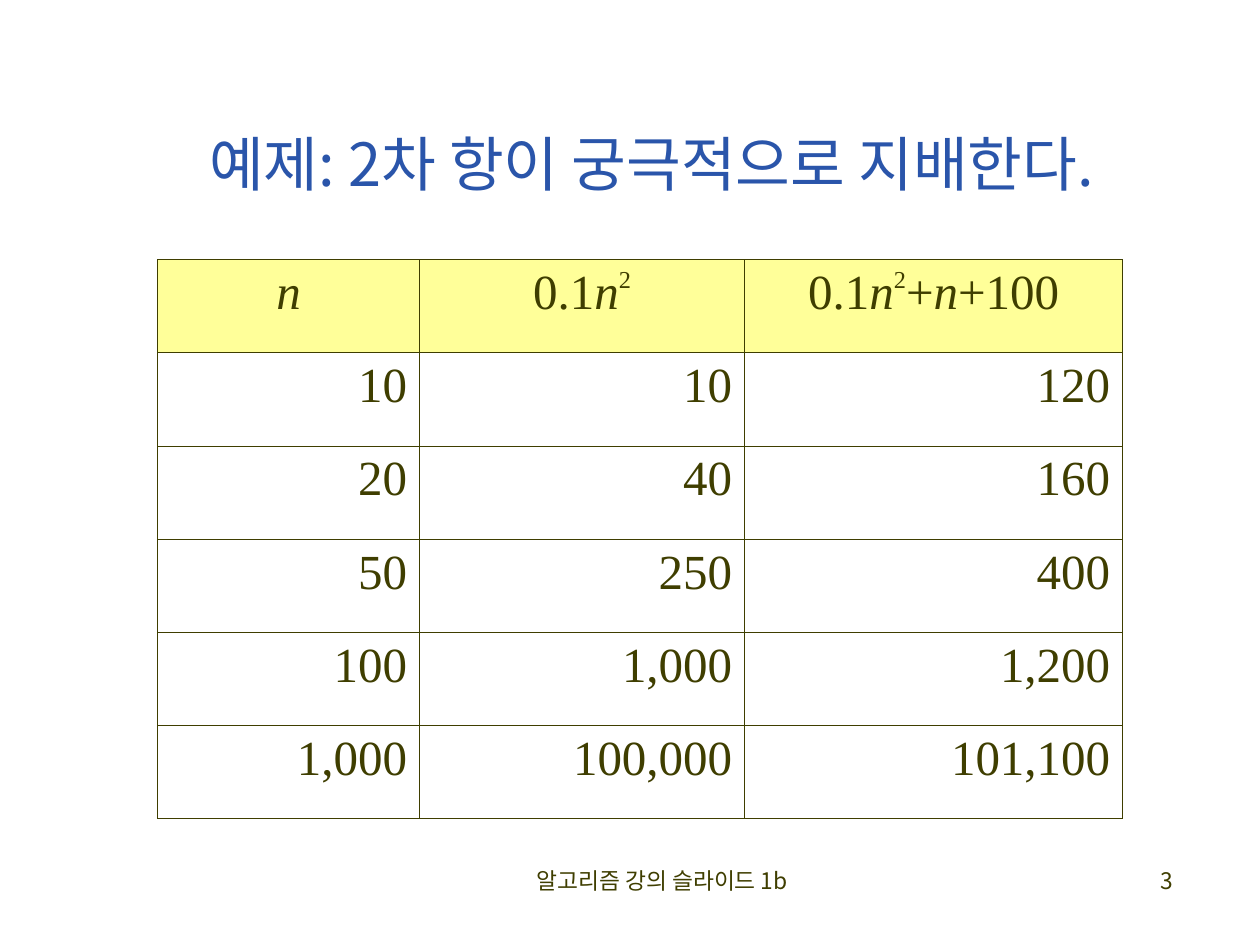
import pptx
import pptx.dml.color
import pptx.enum.text
import pptx.oxml
import pptx.oxml.ns
import pptx.util
from pptx.util import Inches

COLORS = {"text": "3F3E00", "title": "2A55AA", "header": "FFFF99"}
KOREAN, SERIF = "Noto Sans CJK KR", "Times New Roman"
ALIGN = pptx.enum.text.PP_ALIGN

COLUMN_WIDTHS = [2.08, 2.58, 3]
ROW_HEIGHT = 0.74
# Header cells as runs: "n" is italic, "2" is an exponent
HEADERS = [["n"], ["0.1", "n", "2"], ["0.1", "n", "2", "+", "n", "+100"]]
ROWS = [
    ["10", "10", "120"],
    ["20", "40", "160"],
    ["50", "250", "400"],
    ["100", "1,000", "1,200"],
    ["1,000", "100,000", "101,100"],
]


def rgb(name):
    return pptx.dml.color.RGBColor.from_string(COLORS[name])


def format_run(r, size, font, color="text"):
    r.font.size = pptx.util.Pt(size)
    r.font.name = font
    r.font.bold = False
    r.font.color.rgb = rgb(color)
    # East Asian glyphs take their own font element
    ea = pptx.oxml.parse_xml(f'<a:ea {pptx.oxml.ns.nsdecls("a")} typeface="{font}"/>')
    r.font._element.find(pptx.oxml.ns.qn("a:latin")).addnext(ea)


def place(sp, left, top, width, height):
    sp.left, sp.top = Inches(left), Inches(top)
    sp.width, sp.height = Inches(width), Inches(height)


def add_title(s, text):
    sp = s.shapes.title
    place(sp, 0.92, 0.67, 8.5, 1.25)
    tf = sp.text_frame
    tf.text = text
    tf.auto_size = pptx.enum.text.MSO_AUTO_SIZE.NONE
    tf.vertical_anchor = pptx.enum.text.MSO_ANCHOR.MIDDLE
    p = tf.paragraphs[0]
    p.alignment = ALIGN.CENTER
    format_run(p.runs[0], 34, KOREAN, "title")


def add_footer(s, text, left, width, align):
    sp = s.shapes.add_textbox(Inches(left), Inches(6.83), Inches(width), Inches(0.5))
    tf = sp.text_frame
    tf.word_wrap = True
    tf.text = text
    p = tf.paragraphs[0]
    p.alignment = align
    format_run(p.runs[0], 13, KOREAN)


def add_borders(cell):
    tcPr = cell._tc.get_or_add_tcPr()
    for side in ("lnL", "lnR", "lnT", "lnB"):
        tcPr.append(pptx.oxml.parse_xml(
            f'<a:{side} {pptx.oxml.ns.nsdecls("a")} w="{pptx.util.Pt(0.45)}"><a:solidFill>'
            f'<a:srgbClr val="{COLORS["text"]}"/></a:solidFill></a:{side}>'))


def fill_cell(cell, parts, align):
    add_borders(cell)
    cell.margin_left = cell.margin_right = Inches(0.1)
    cell.margin_top = cell.margin_bottom = Inches(0.05)
    p = cell.text_frame.paragraphs[0]
    p.alignment = align
    p.space_before = pptx.util.Pt(7)
    for part in parts:
        r = p.add_run()
        r.text = part
        exponent = part == "2"
        format_run(r, 24 if exponent else 28, SERIF)
        r.font.italic = part == "n"
        if exponent:
            r.font._element.set("baseline", "50000")


def add_growth_table(s):
    count = len(ROWS) + 1
    table = s.shapes.add_table(
        count, len(COLUMN_WIDTHS), Inches(1.25), Inches(2.06),
        Inches(sum(COLUMN_WIDTHS)), Inches(ROW_HEIGHT * count)).table
    table.first_row = table.horz_banding = False
    for column, width in zip(table.columns, COLUMN_WIDTHS):
        column.width = Inches(width)
    for row in table.rows:
        row.height = Inches(ROW_HEIGHT)

    # Header row
    for j, parts in enumerate(HEADERS):
        cell = table.cell(0, j)
        fill_cell(cell, parts, ALIGN.CENTER)
        cell.fill.solid()
        cell.fill.fore_color.rgb = rgb("header")

    # Value rows
    for i, values in enumerate(ROWS, 1):
        for j, value in enumerate(values):
            cell = table.cell(i, j)
            fill_cell(cell, [value], ALIGN.RIGHT)
            cell.fill.background()


def main():
    prs = pptx.Presentation()
    prs.slide_width, prs.slide_height = Inches(10), Inches(7.5)
    s = prs.slides.add_slide(prs.slide_layouts[5])
    add_title(s, "예제: 2차 항이 궁극적으로 지배한다.")
    add_growth_table(s)
    add_footer(s, "알고리즘 강의 슬라이드 1b", 3.67, 3.17, ALIGN.CENTER)
    add_footer(s, "3", 7.33, 2.08, ALIGN.RIGHT)
    prs.save("out.pptx")


if __name__ == "__main__":
    main()
